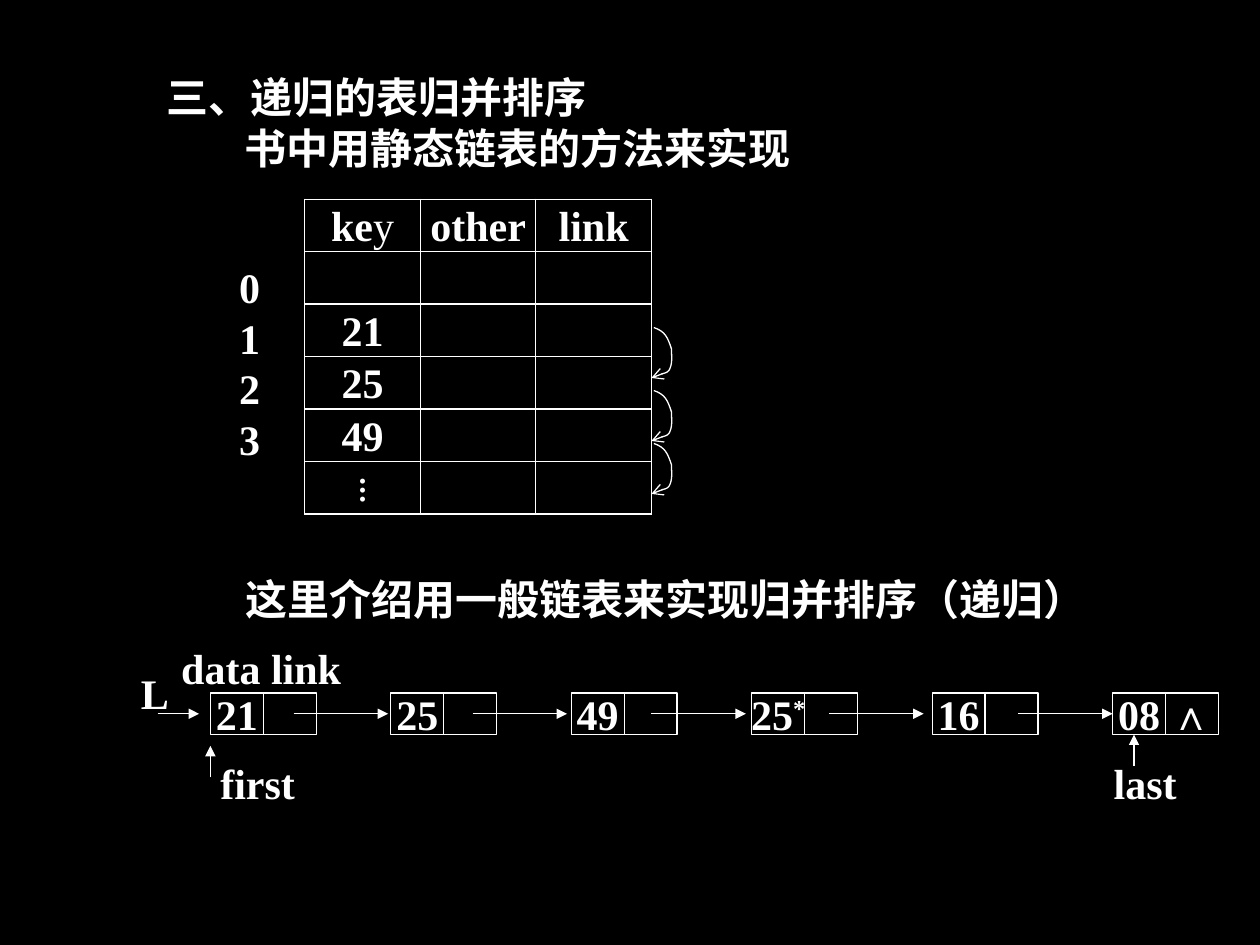
from dataclasses import dataclass

from pptx import Presentation
from pptx.dml.color import RGBColor
from pptx.enum.shapes import MSO_CONNECTOR, MSO_SHAPE
from pptx.enum.text import MSO_ANCHOR, MSO_AUTO_SIZE, PP_ALIGN
from pptx.oxml import parse_xml
from pptx.oxml.ns import nsdecls, qn
from pptx.util import Inches, Pt

BLACK = RGBColor(0, 0, 0)
WHITE = RGBColor(255, 255, 255)
THIN = Pt(0.75)
FONT = {"name": "Times New Roman", "size": Pt(24), "bold": True}
MARGIN = {
    "margin_left": Inches(0.1), "margin_right": Inches(0.1),
    "margin_top": Inches(0.05), "margin_bottom": Inches(0.05),
}
TIGHT = {**dict.fromkeys(MARGIN, 0), "margin_top": Inches(0.03)}
LABEL = {**MARGIN, "word_wrap": False, "auto_size": MSO_AUTO_SIZE.NONE,
         "vertical_anchor": MSO_ANCHOR.TOP}
BOX = {**MARGIN, "word_wrap": False, "vertical_anchor": MSO_ANCHOR.MIDDLE}
CELL = {**TIGHT, "vertical_anchor": MSO_ANCHOR.MIDDLE}

NODE_W, NODE_H = 0.42, 0.33
NODE_X, NODE_Y, PITCH = 1.67, 5.5, 1.432
MID = NODE_Y + NODE_H / 2


@dataclass
class Label:
    lines: list[str]
    left: float
    top: float
    width: float
    height: float


@dataclass
class Arrow:
    x1: float
    y1: float
    x2: float
    y2: float


@dataclass
class Node:
    key: str
    mark: str = ""
    link: str = ""


LABELS = [
    Label(["0", "1", "2", "3"], 1.8, 2.03, 0.36, 1.7),
    Label(["这里介绍用一般链表来实现归并排序（递归）"], 1.85, 4.5, 7.1, 0.5),
    Label(["L"], 1.02, 5.25, 0.42, 0.5),
    Label(["data link"], 1.34, 5.05, 1.5, 0.5),
    Label(["first"], 1.65, 5.96, 0.82, 0.5),
    Label(["last"], 8.74, 5.96, 0.72, 0.5),
]
ROWS = [["key", "other", "link"], [""], ["21"], ["25"], ["49"], [".\n.\n."]]
NODES = [Node("21"), Node("25"), Node("49"), Node("25", "*"), Node("16"),
         Node("08", link="∧")]
STARTS = [2.33, 3.75, 5.17, 6.58, 8.08]
POINTERS = [Arrow(1.25, MID, 1.58, MID), Arrow(1.67, 6.17, 1.67, 5.92),
            Arrow(9, 6.08, 9, 5.83)]
BENDS = [
    [(5.19, 0), (5.28, 0.03), (5.3, 0.08), (5.33, 0.17)],
    [(5.33, 0.17), (5.33, 0.23), (5.34, 0.29), (5.31, 0.34)],
    [(5.31, 0.34), (5.28, 0.38), (5.2, 0.36), (5.17, 0.4)],
]


def apply(thing, values: dict) -> None:
    for name, value in values.items():
        setattr(thing, name, value)


def add_run(para, text: str, **extra):
    run = para.add_run()
    run.text = text
    apply(run.font, {**FONT, **extra})
    run.font.color.rgb = WHITE
    return run


def fill_text(frame, lines: list[str]) -> None:
    apply(frame, LABEL)
    for index, line in enumerate(lines):
        para = frame.add_paragraph() if index else frame.paragraphs[0]
        para.alignment = PP_ALIGN.LEFT
        add_run(para, line)


def draw_label(slide, label: Label) -> None:
    box = slide.shapes.add_textbox(*map(Inches, (label.left, label.top, label.width, label.height)))
    fill_text(box.text_frame, label.lines)


def style_line(shape, tip: str = "") -> None:
    shape.line.color.rgb = WHITE
    shape.line.width = THIN
    if tip:
        line = shape._element.spPr.find(qn("a:ln"))
        line.append(parse_xml(f'<a:tailEnd {nsdecls("a")} type="{tip}"/>'))


def draw_arrow(slide, arrow: Arrow, target=None) -> None:
    ends = map(Inches, (arrow.x1, arrow.y1, arrow.x2, arrow.y2))
    line = slide.shapes.add_connector(MSO_CONNECTOR.STRAIGHT, *ends)
    if target is not None:
        line.end_connect(target, 1)
    style_line(line, "triangle")
    line._element.spPr.append(parse_xml(f'<a:effectLst {nsdecls("a")}/>'))


def draw_box(slide, left: float, text: str, mark: str = "", **extra):
    box = slide.shapes.add_shape(MSO_SHAPE.RECTANGLE, *map(Inches, (left, NODE_Y, NODE_W, NODE_H)))
    box.shadow.inherit = False
    box.fill.background()
    style_line(box)
    apply(box.text_frame, BOX)
    para = box.text_frame.paragraphs[0]
    para.alignment = PP_ALIGN.CENTER
    if text:
        add_run(para, text, **extra)
    if mark:
        run = add_run(para, mark)
        run._r.get_or_add_rPr().set("baseline", "30000")
    return box


def draw_chain(slide) -> None:
    boxes = []
    for index, node in enumerate(NODES):
        left = NODE_X + index * PITCH
        boxes.append(draw_box(slide, left, node.key, node.mark))
        draw_box(slide, left + NODE_W, node.link, name="Arial")
    for start in STARTS:
        target = boxes[-1] if start == STARTS[-1] else None
        draw_arrow(slide, Arrow(start, MID, start + 0.75, MID), target)


def edge_cell(cell) -> None:
    props = cell._tc.get_or_add_tcPr()
    for side in "LRTB":
        props.append(parse_xml(
            f'<a:ln{side} {nsdecls("a")} w="{THIN}"><a:solidFill>'
            f'<a:srgbClr val="{WHITE}"/></a:solidFill></a:ln{side}>'))
    cell.fill.background()


def fill_cell(cell, text: str) -> None:
    apply(cell, CELL)
    edge_cell(cell)
    dots = "\n" in text
    for index, line in enumerate(text.split("\n")):
        para = cell.text_frame.add_paragraph() if index else cell.text_frame.paragraphs[0]
        para.alignment = PP_ALIGN.CENTER
        if dots:
            para.line_spacing = 0.2
        if line == "key":
            add_run(para, "ke")
            add_run(para, "y", bold=False)
        elif line:
            add_run(para, line, bold=not dots)


def draw_table(slide) -> None:
    frame = slide.shapes.add_table(len(ROWS), 3, *map(Inches, (2.42, 1.58, 2.75, 2.5)))
    table = frame.table
    apply(table, {"first_row": False, "horz_banding": False})
    for row, texts in enumerate(ROWS):
        for col in range(3):
            fill_cell(table.cell(row, col), texts[col] if col < len(texts) else "")


def trace(bend: list, steps: int = 8) -> list:
    points = []
    for step in range(1, steps + 1):
        t = step / steps
        parts = ((1 - t) ** 3, 3 * t * (1 - t) ** 2, 3 * t * t * (1 - t), t ** 3)
        points.append(tuple(sum(p * spot[axis] for p, spot in zip(parts, bend)) for axis in (0, 1)))
    return points


def draw_curve(slide, top: float) -> None:
    spots = [BENDS[0][0]] + [spot for bend in BENDS for spot in trace(bend)]
    points = [(Inches(x), Inches(top + y)) for x, y in spots]
    pen = slide.shapes.build_freeform(*points[0])
    pen.add_line_segments(points[1:], close=False)
    curve = pen.convert_to_shape()
    curve.shadow.inherit = False
    curve.fill.background()
    style_line(curve, "arrow")


def main() -> None:
    deck = Presentation()
    apply(deck, {"slide_width": Inches(10), "slide_height": Inches(7.5)})
    slide = deck.slides.add_slide(deck.slide_layouts[5])
    slide.background.fill.solid()
    slide.background.fill.fore_color.rgb = BLACK
    title = slide.shapes.title
    apply(title, {"left": Inches(1.22), "top": Inches(0.52),
                  "width": Inches(5.5), "height": Inches(0.9)})
    fill_text(title.text_frame, ["三、递归的表归并排序", "书中用静态链表的方法来实现"])
    title.text_frame.paragraphs[1]._p.get_or_add_pPr().set("marL", str(Inches(0.62)))
    draw_table(slide)
    for top in (2.6, 3.1, 3.52):
        draw_curve(slide, top)
    draw_chain(slide)
    for arrow in POINTERS:
        draw_arrow(slide, arrow)
    for label in LABELS:
        draw_label(slide, label)
    deck.save("out.pptx")


if __name__ == "__main__":
    main()
